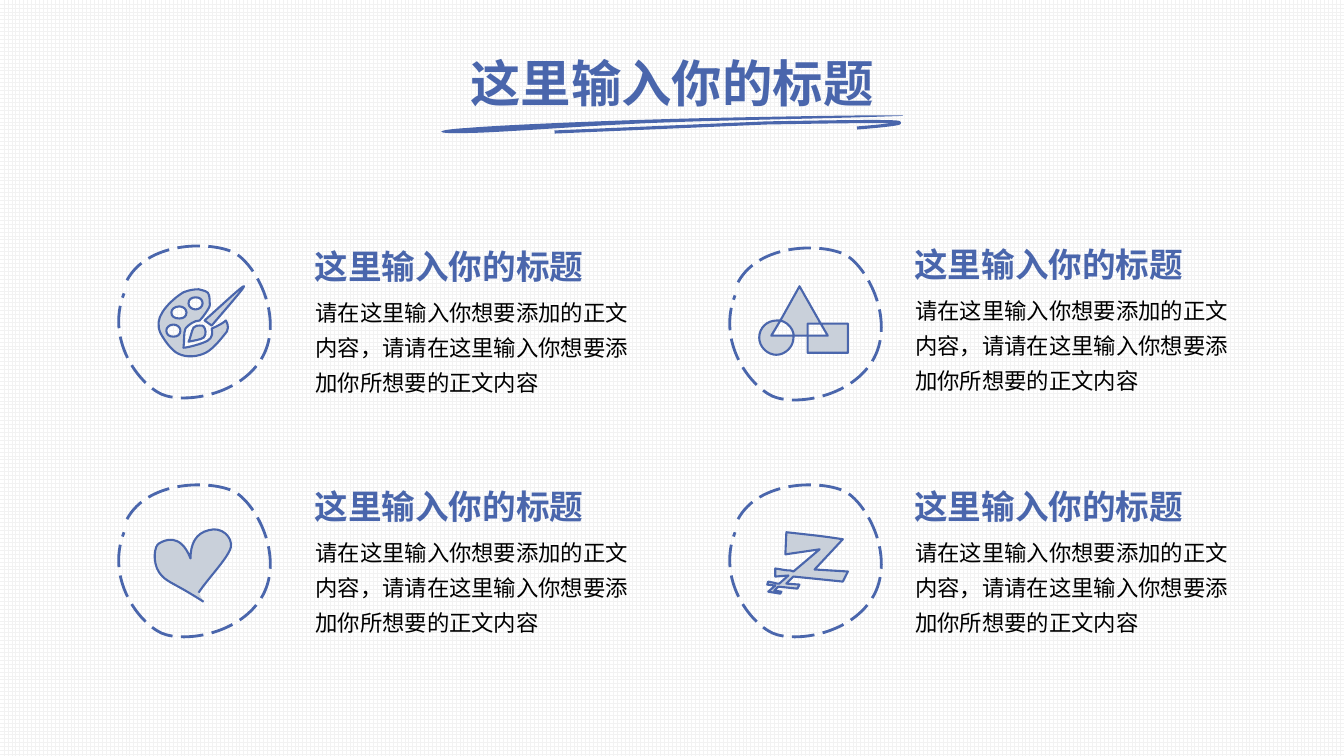
from math import cos, radians, sin

from lxml.etree import SubElement
from pptx import Presentation
from pptx.dml.color import RGBColor
from pptx.enum.dml import MSO_LINE, MSO_PATTERN
from pptx.enum.text import MSO_ANCHOR, MSO_AUTO_SIZE, PP_ALIGN
from pptx.oxml.ns import qn
from pptx.util import Inches, Pt

BLUE = RGBColor(0x4A, 0x66, 0xAC)
PALE = RGBColor(0xC9, 0xD0, 0xDA)
BLACK = RGBColor(0, 0, 0)
WHITE = RGBColor(0xFF, 0xFF, 0xFF)
GRID = RGBColor(0xF2, 0xF2, 0xF2)
FONT = "Noto Sans CJK JP"
RING_TURN = 207.6
COMMANDS = {"M": ("a:moveTo", 1), "L": ("a:lnTo", 1), "C": ("a:cubicBezTo", 3),
            "Z": ("a:close", 0)}

TITLE = "这里输入你的标题"
BODY = "请在这里输入你想要添加的正文内容，请请在这里输入你想要添加你所想要的正文内容"

TITLE_STYLE = {"size": Pt(36), "bold": True, "color": BLUE, "spacing": 0.9}
HEADING_STYLE = {"size": Pt(24), "bold": True, "color": BLUE, "spacing": 0.9}
BODY_STYLE = {"size": Pt(16), "bold": False, "color": BLACK, "spacing": 1.3}

# Frame (left, top, width, height) and outline, in hundredths of an inch within the region.
BRUSH = (
    (0, 0, 458, 18),
    "M 25 12 C 60 9 157 5 229 3 C 300 1 478 -2 456 0 C 373 3 281 4 209 7 "
    "C 137 10 53 17 23 17 C -8 18 -9 14 25 12 Z")
STROKE = (
    (112, 6, 342, 11),
    "M 112 16 L 322 7 C 378 6 435 5 450 6 C 465 7 438 10 412 12")
RING = (
    (0, 0, 154, 157),
    "M 11 38 C 32 -1 95 -1 118 11 C 140 24 166 75 146 113 "
    "C 125 152 68 161 45 151 C 22 140 -10 97 8 51")
PALETTE = (
    (42, 44, 84, 70),
    "M 83 83 C 85 83 87 83 87 84 C 89 86 90 92 87 95 C 84 97 77 98 72 99 "
    "C 74 96 75 88 77 85 C 79 83 81 83 83 83 Z "
    "M 57 82 C 53 82 50 85 50 88 C 50 92 53 94 57 94 C 61 94 64 92 64 88 "
    "C 64 85 61 82 57 82 Z "
    "M 63 64 C 58 64 55 67 55 70 C 55 74 58 76 63 76 C 67 76 70 74 70 70 "
    "C 70 67 67 64 63 64 Z "
    "M 79 55 C 75 55 72 57 72 61 C 72 64 75 67 79 67 C 83 67 86 64 86 61 "
    "C 86 57 83 55 79 55 Z "
    "M 82 47 C 85 48 87 48 89 49 C 93 50 93 56 93 60 C 94 63 92 66 90 69 "
    "C 88 72 86 75 83 78 C 78 78 72 82 69 86 C 67 90 68 99 67 105 "
    "C 71 105 86 101 91 98 C 96 95 96 90 95 86 C 102 83 107 80 109 78 "
    "C 109 78 113 84 110 89 C 106 94 97 106 89 110 C 81 114 70 115 62 111 "
    "C 55 108 47 96 44 90 C 41 83 42 76 46 70 C 50 63 60 54 67 50 "
    "C 72 48 77 47 82 47 Z "
    "M 127 44 C 128 45 106 70 95 83 L 88 78 L 89 77 C 108 60 126 43 127 44 Z")
GEOMETRY = (
    (32, 42, 88, 68),
    "M 93 79 L 120 79 L 120 108 L 80 108 L 80 91 L 100 91 Z "
    "M 49 76 C 50 76 51 76 52 76 L 53 76 L 44 91 L 66 91 L 66 93 "
    "C 66 102 58 110 49 110 C 40 110 32 102 32 93 C 32 83 40 76 49 76 Z "
    "M 72 42 L 93 79 L 80 79 L 80 91 L 66 91 L 66 89 "
    "C 65 84 61 79 56 77 L 53 76 Z")
HEART = (
    (38, 48, 76, 72),
    "M 82 111 C 92 96 111 77 114 66 C 116 56 105 45 92 49 "
    "C 79 52 74 63 74 77 C 64 51 48 59 43 62 C 38 64 36 81 43 91 "
    "C 50 101 56 100 87 120")
ZIGZAG = (
    (40, 51, 80, 61),
    "M 59 51 C 85 54 89 54 115 58 L 87 88 L 120 90 L 115 100 L 66 95 L 59 102 "
    "L 72 103 L 70 107 L 51 105 L 47 109 L 54 110 L 53 112 L 41 110 L 48 104 "
    "L 40 103 L 41 100 C 45 101 47 101 50 102 L 52 102 L 61 94 L 48 95 L 48 87 "
    "C 55 88 58 89 63 89 L 66 90 L 92 68 L 58 73 Z")


def turn_back(x, y, width, height, angle):
    a = radians(-angle)
    dx, dy = x - width / 2, y - height / 2
    return (width / 2 + dx * cos(a) - dy * sin(a),
            height / 2 + dx * sin(a) + dy * cos(a))


def draw(s, left, top, figure, fill=None, width=None, dash=None, angle=0):
    (x0, y0, w, h), outline = figure
    x1, y1 = Inches(left + x0 / 100), Inches(top + y0 / 100)
    x2, y2 = x1 + Inches(w / 100), y1 + Inches(h / 100)
    builder = s.shapes.build_freeform(x1, y1, scale=1.0)
    builder.add_line_segments([(x2, y2)], close=False)
    sp = builder.convert_to_shape()
    curve = sp._element.find(".//" + qn("a:path"))
    del curve[:]
    tokens = iter(outline.split())
    for command in tokens:
        tag, count = COMMANDS[command]
        segment = SubElement(curve, qn(tag))
        for _ in range(count):
            x, y = float(next(tokens)) - x0, float(next(tokens)) - y0
            x, y = turn_back(x, y, w, h, angle)
            SubElement(segment, qn("a:pt"), x=str(Inches(x / 100)),
                       y=str(Inches(y / 100)))
    sp.rotation = angle
    sp.shadow.inherit = False
    if fill is None:
        sp.fill.background()
    else:
        sp.fill.solid()
        sp.fill.fore_color.rgb = fill
    if width is None:
        sp.line.fill.background()
    else:
        sp.line.color.rgb = BLUE
        sp.line.width = Pt(width)
    if dash is not None:
        sp.line.dash_style = dash


def add_text(s, box, text, style, align=PP_ALIGN.LEFT, anchor=MSO_ANCHOR.TOP):
    tf = s.shapes.add_textbox(*[Inches(v) for v in box]).text_frame
    for name, value in {"word_wrap": True, "vertical_anchor": anchor,
                        "auto_size": MSO_AUTO_SIZE.TEXT_TO_FIT_SHAPE
                        if anchor == MSO_ANCHOR.TOP else MSO_AUTO_SIZE.NONE}.items():
        setattr(tf, name, value)
    p = tf.paragraphs[0]
    p.alignment = align
    p.line_spacing = style["spacing"]
    r = p.add_run()
    r.text = text
    for name in ("size", "bold"):
        setattr(r.font, name, style[name])
    r.font.color.rgb = style["color"]
    r.font.name = FONT
    SubElement(r.font._element, qn("a:ea"), typeface=FONT)


def add_header(s, left, top):
    draw(s, left + 0.15, top + 0.62, BRUSH, fill=BLUE)
    draw(s, left + 0.15, top + 0.62, STROKE, width=2.25)
    add_text(s, (left, top, 4.87, 0.66), TITLE, TITLE_STYLE,
             PP_ALIGN.CENTER, MSO_ANCHOR.MIDDLE)


def add_item(s, left, ring_top, text_left, text_top, body_width, icon):
    draw(s, left, ring_top, RING, width=2, dash=MSO_LINE.LONG_DASH, angle=RING_TURN)
    draw(s, left, ring_top, icon, fill=PALE, width=1.5)
    add_text(s, (text_left + 0.01, text_top + 0.4, body_width, 1.62), BODY, BODY_STYLE)
    add_text(s, (text_left, text_top, 3.49, 0.81), TITLE, HEADING_STYLE)


def main():
    prs = Presentation()
    prs.slide_width, prs.slide_height = Inches(13.33), Inches(7.5)
    s = prs.slides.add_slide(prs.slide_layouts[6])
    fill = s.background.fill
    fill.patterned()
    fill.pattern = MSO_PATTERN.LARGE_GRID
    fill.fore_color.rgb = GRID
    fill.back_color.rgb = WHITE
    add_header(s, 4.23, 0.53)
    for item in ((1.15, 2.40, 3.02, 2.44, 3.48, PALETTE),
                 (7.21, 2.42, 8.97, 2.42, 3.41, GEOMETRY),
                 (1.15, 4.77, 3.02, 4.82, 3.41, HEART),
                 (7.21, 4.77, 8.97, 4.82, 3.41, ZIGZAG)):
        add_item(s, *item)
    prs.save("out.pptx")


if __name__ == "__main__":
    main()
